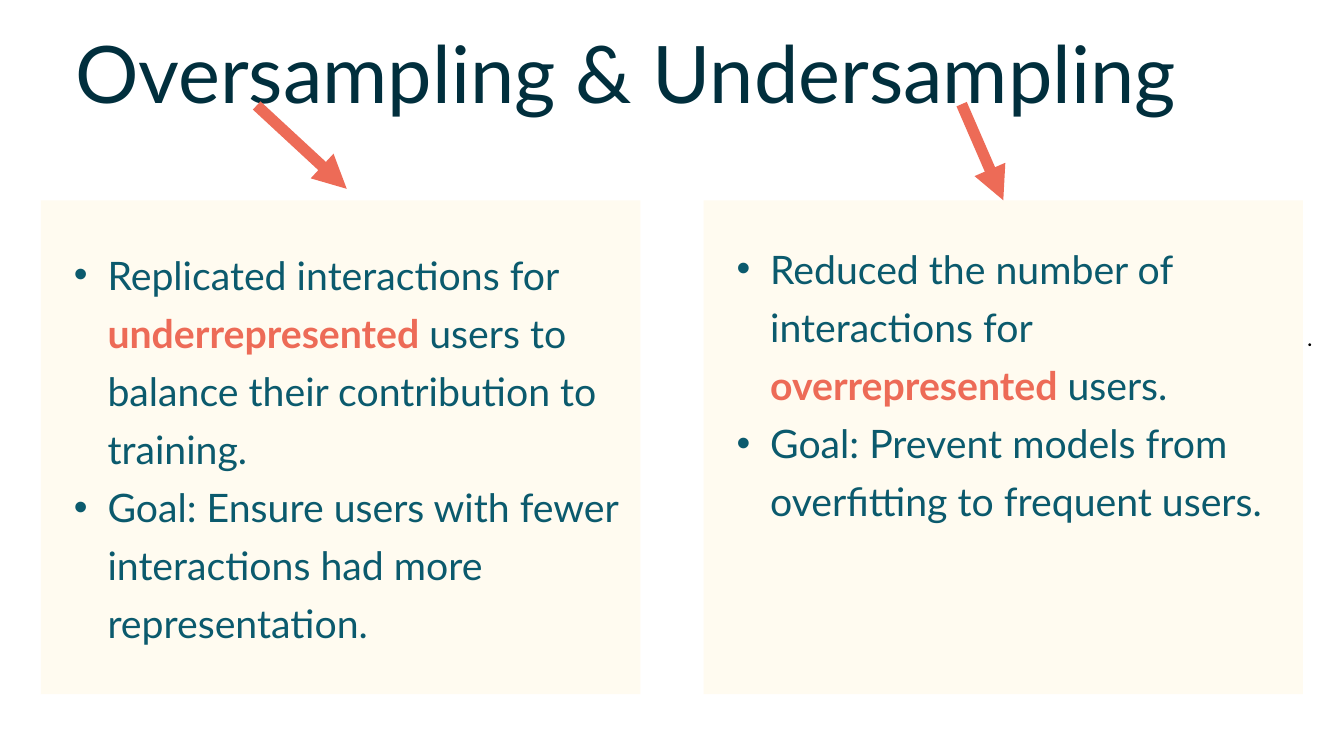
from lxml.etree import SubElement
from pptx import Presentation
from pptx.dml.color import RGBColor
from pptx.enum.shapes import MSO_CONNECTOR, MSO_SHAPE
from pptx.oxml.ns import qn
from pptx.util import Inches, Pt

COLORS = {
    "title": "012F3D",
    "body": "0B5A6D",
    "accent": "ED6B57",
    "panel": "FFFBF0",
    "dot": "000000",
}
FONT = "Lato"
TITLE = "Oversampling & Undersampling"
PANEL_TOP, PANEL_WIDTH, PANEL_HEIGHT = 2.98, 8.92, 7.35

# Each bullet is a list of (text, emphasised) spans.
PANELS = [
    {
        "left": 0.61,
        "text_box": (3.57, 9.09, 6.77),  # top, width, height
        "arrow": ((3.82, 1.57), (5.16, 2.81)),
        "joined": False,
        "bullets": [
            [("Replicated interactions for ", False), ("underrepresented", True),
             (" users to balance their contribution to training.", False)],
            [("Goal: Ensure users with fewer interactions had more representation.", False)],
        ],
    },
    {
        "left": 10.47,
        "text_box": (3.48, 8.59, 5.06),
        "arrow": ((14.31, 1.55), (14.93, 2.98)),
        "joined": True,
        "bullets": [
            [("Reduced the number of interactions for ", False), ("overrepresented", True),
             (" users.", False)],
            [("Goal: Prevent models from overfitting to frequent users.", False)],
        ],
    },
]


def color(name):
    return RGBColor.from_string(COLORS[name])


def add_text_box(page, left, top, width, height):
    frame = page.shapes.add_textbox(
        Inches(left), Inches(top), Inches(width), Inches(height)).text_frame
    frame.word_wrap = True
    frame.margin_left = frame.margin_top = frame.margin_right = frame.margin_bottom = 0
    return frame


def style_font(font, size, fill, bold=False):
    font.name, font.size, font.bold = FONT, Pt(size), bold
    font.color.rgb = color(fill)


def add_plain_shape(page, kind, left, top, width, height, fill):
    shape = page.shapes.add_shape(
        kind, Inches(left), Inches(top), Inches(width), Inches(height))
    shape.shadow.inherit = False
    shape.fill.solid()
    shape.fill.fore_color.rgb = color(fill)
    shape.line.fill.background()
    return shape


def add_bullet(para, spans):
    para.level = 1
    para.line_spacing = Pt(62.2)
    properties = para._p.get_or_add_pPr()
    properties.set("marL", str(Inches(0.99)))
    properties.set("indent", str(Inches(-0.5)))
    SubElement(properties, qn("a:buFont"), typeface="Arial")
    SubElement(properties, qn("a:buChar"), char="•")
    for text, emphasised in spans:
        span = para.add_run()
        span.text = text
        style_font(span.font, 42, "accent" if emphasised else "body", emphasised)


def add_arrow(page, start, end):
    arrow = page.shapes.add_connector(
        MSO_CONNECTOR.STRAIGHT, *(Inches(value) for value in start + end))
    arrow.line.color.rgb = color("accent")
    arrow.line.width = Pt(12)
    SubElement(arrow.line._get_or_add_ln(), qn("a:tailEnd"), type="triangle")
    SubElement(arrow._element.spPr, qn("a:effectLst"))
    return arrow


def add_panel(page, panel):
    """Draw a panel with its bullets and the arrow leading to it."""
    left = panel["left"]
    card = add_plain_shape(page, MSO_SHAPE.RECTANGLE, left, PANEL_TOP,
                           PANEL_WIDTH, PANEL_HEIGHT, "panel")
    frame = add_text_box(page, left, *panel["text_box"])
    for index, spans in enumerate(panel["bullets"]):
        para = frame.add_paragraph() if index else frame.paragraphs[0]
        add_bullet(para, spans)
    arrow = add_arrow(page, *panel["arrow"])
    if panel["joined"]:
        arrow.end_connect(card, 0)


def main():
    deck = Presentation()
    deck.slide_width, deck.slide_height = Inches(20), Inches(11.25)
    page = deck.slides.add_slide(deck.slide_layouts[6])

    title = add_text_box(page, 1.12, 0.6, 16.8, 1.24).paragraphs[0]
    title.text = TITLE
    title.line_spacing = Pt(85)
    style_font(title.runs[0].font, 85, "title")

    add_plain_shape(page, MSO_SHAPE.OVAL, 19.47, 5.11, 0.04, 0.04, "dot")
    for panel in PANELS:
        add_panel(page, panel)
    deck.save("out.pptx")


if __name__ == "__main__":
    main()
